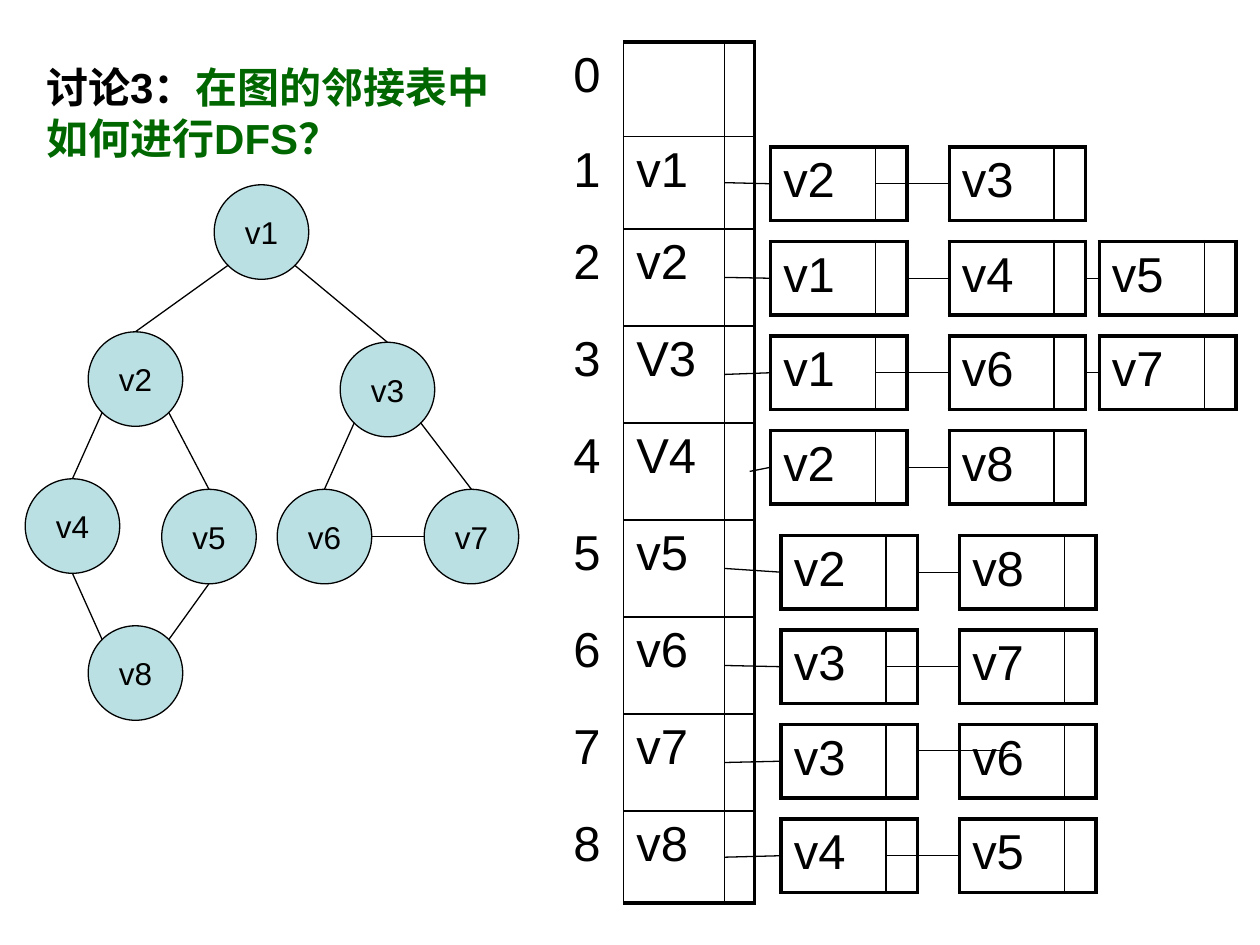
"""Build a slide that sets a graph beside its adjacency list for a DFS discussion."""
from itertools import accumulate

from lxml.etree import SubElement
from pptx import Presentation
from pptx.dml.color import RGBColor
from pptx.enum.shapes import MSO_CONNECTOR as CONN, MSO_SHAPE as SHAPE
from pptx.enum.text import MSO_ANCHOR as ANCHOR, MSO_AUTO_SIZE as FIT, PP_ALIGN as ALIGN
from pptx.oxml import parse_xml
from pptx.oxml.ns import nsdecls, qn
from pptx.util import Inches, Pt

COLORS = {"ink": "000000", "node": "BBE0E3", "question": "006600"}
FORMATS = {
    "title": {"name": "Arial", "size": Pt(24), "bold": True},
    "cell": {"name": "Arial", "size": Pt(28)},
    "node": {"name": "Arial", "size": Pt(18)},
}
COLS, ROWS = 120, 90
THICK, THIN, HAIR = 2.25, 1, 0.75
NODE = 9
DATA_W, LINK_W, CELL_H = 10, 3, 7
HEADS_X, HEADS_Y = 53.4, 4
HEADS_W = [6, 9.6, 2.8]
HEADS_H = [9, 8.8] + [9.24] * 6 + [8.8]
HEADS = ["", "v1", "v2", "V3", "V4", "v5", "v6", "v7", "v8"]

LISTS = [
    (73.4, 14, ["v2", "v3"], DATA_W),
    (73.4, 23, ["v1", "v4", "v5"], DATA_W + LINK_W),
    (73.4, 32, ["v1", "v6", "v7"], DATA_W),
    (73.4, 41, ["v2", "v8"], DATA_W + LINK_W),
    (74.4, 51, ["v2", "v8"], DATA_W + LINK_W),
    (74.4, 60, ["v3", "v7"], DATA_W),
    (74.4, 69, ["v3", "v6"], DATA_W + LINK_W),
    (74.4, 78, ["v4", "v5"], DATA_W),
]
STEPS = [0, 17, 31.3]
HEAD_LINK_X = {4: 71.4}
LINK_SHIFT = {7: (5, -1)}

NODES = {
    "v1": (20.4, 17.6), "v2": (8.4, 31.6), "v3": (32.4, 32.6), "v4": (2.4, 45.6),
    "v5": (15.4, 46.6), "v6": (26.4, 46.6), "v7": (40.4, 46.6), "v8": (8.4, 59.6),
}
SITES = {
    "top": (0.5, 0), "bottom": (0.5, 1), "left": (0, 0.5), "right": (1, 0.5),
    "upper left": (0.15, 0.15), "upper right": (0.85, 0.15),
    "lower left": (0.15, 0.85), "lower right": (0.85, 0.85),
}
EDGES = [
    ("v1", "lower left", "v2", "top"), ("v1", "lower right", "v3", "top"),
    ("v2", "lower right", "v5", "top"), ("v3", "lower left", "v6", "top"),
    ("v3", "lower right", "v7", "top"), ("v4", "bottom", "v8", "upper left"),
    ("v5", "bottom", "v8", "upper right"), ("v6", "right", "v7", "left"),
    ("v2", "lower left", "v4", "top"),
]


class Board:
    def __init__(self, prs):
        self.prs = prs
        self.s = prs.slides.add_slide(prs.slide_layouts[5])
        self.shapes = self.s.shapes

    def x(self, cols):
        return int(self.prs.slide_width * cols / COLS)

    def y(self, rows):
        return int(self.prs.slide_height * rows / ROWS)

    def box(self, x, y, w, h):
        return self.x(x), self.y(y), self.x(w), self.y(h)

    def run(self, p, text, style, color="ink"):
        r = p.add_run()
        r.text = text
        for key, value in FORMATS[style].items():
            setattr(r.font, key, value)
        r.font.color.rgb = RGBColor.from_string(COLORS[color])

    def space_before(self, p, percent):
        before = SubElement(p._p.get_or_add_pPr(), qn("a:spcBef"))
        SubElement(before, qn("a:spcPct"), val=str(percent * 1000))

    def title(self, x, y, w, h, parts):
        sp = self.s.shapes.title
        sp.left, sp.top, sp.width, sp.height = self.box(x, y, w, h)
        tf = sp.text_frame
        for key, value in {"word_wrap": True, "auto_size": FIT.SHAPE_TO_FIT_TEXT,
                           "vertical_anchor": ANCHOR.TOP}.items():
            setattr(tf, key, value)
        p = tf.paragraphs[0]
        p.alignment = ALIGN.LEFT
        self.space_before(p, 50)
        for text, color in parts:
            self.run(p, text, "title", color)

    def borders(self, cell, widths):
        tc_pr = cell._tc.get_or_add_tcPr()
        for i, (side, width) in enumerate(zip("LRTB", widths)):
            paint = (f'<a:solidFill><a:srgbClr val="{COLORS["ink"]}"/></a:solidFill>'
                     if width else "<a:noFill/>")
            tc_pr.insert(i, parse_xml(
                f'<a:ln{side} {nsdecls("a")} w="{int(Pt(width))}">{paint}</a:ln{side}>'))

    def table(self, x, y, widths, heights, rows, bare=0):
        frame = self.shapes.add_table(len(rows), len(widths),
                                      *self.box(x, y, sum(widths), sum(heights)))
        table = frame.table
        table.first_row = table.horz_banding = False
        for column, width in zip(table.columns, widths):
            column.width = self.x(width)
        for row, height in zip(table.rows, heights):
            row.height = self.y(height)
        for i, texts in enumerate(rows):
            for j, text in enumerate(texts):
                cell = table.cell(i, j)
                cell.fill.background()
                if j < bare:
                    self.borders(cell, (0, THIN, 0, 0))
                else:
                    outer = (j == 0, j == len(widths) - 1, i == 0, i == len(rows) - 1)
                    self.borders(cell, [THICK if edge else THIN for edge in outer])
                if text:
                    p = cell.text_frame.paragraphs[0]
                    self.space_before(p, 20)
                    self.run(p, text, "cell")

    def line(self, x1, y1, x2, y2):
        c = self.shapes.add_connector(CONN.STRAIGHT, self.x(x1), self.y(y1),
                                      self.x(x2), self.y(y2))
        c.line.width = Pt(HAIR)
        c.line.color.rgb = RGBColor.from_string(COLORS["ink"])
        SubElement(c._element.spPr, qn("a:effectLst"))

    def node(self, name, x, y):
        sp = self.shapes.add_shape(SHAPE.OVAL, *self.box(x, y, NODE, NODE))
        sp.shadow.inherit = False
        sp.fill.solid()
        sp.fill.fore_color.rgb = RGBColor.from_string(COLORS["node"])
        sp.line.width = Pt(HAIR)
        sp.line.color.rgb = RGBColor.from_string(COLORS["ink"])
        tf = sp.text_frame
        for key, value in {"margin_left": 0, "margin_right": 0, "margin_top": 0,
                           "margin_bottom": 0, "word_wrap": False,
                           "vertical_anchor": ANCHOR.MIDDLE}.items():
            setattr(tf, key, value)
        p = tf.paragraphs[0]
        p.alignment = ALIGN.CENTER
        self.run(p, name, "node")

    def graph(self):
        self.shapes = self.s.shapes.add_group_shape().shapes
        for name, (x, y) in NODES.items():
            self.node(name, x, y)
        for *start, end, end_site in EDGES:
            points = []
            for name, site in (start, (end, end_site)):
                points += [a + b * NODE for a, b in zip(NODES[name], SITES[site])]
            self.line(*points)
        self.shapes = self.s.shapes

    def adjacency(self):
        self.table(HEADS_X, HEADS_Y, HEADS_W, HEADS_H,
                   [(str(i), head, "") for i, head in enumerate(HEADS)], bare=1)
        for x, y, names, _ in LISTS:
            for step, name in zip(STEPS, names):
                self.table(x + step, y, [DATA_W, LINK_W], [CELL_H], [(name, "")])
        bottoms = [HEADS_Y + h for h in accumulate(HEADS_H)]
        for i, (x, y, names, offset) in enumerate(LISTS, 1):
            middle = y + CELL_H / 2
            self.line(HEAD_LINK_X.get(i, sum(HEADS_W[:2]) + HEADS_X),
                      bottoms[i] - HEADS_H[i] / 2, x, middle)
            dx, dy = LINK_SHIFT.get(i, (0, 0))
            self.line(x + offset, middle + dy, x + STEPS[1] + dx, middle + dy)
            if len(names) > 2:
                self.line(x + STEPS[1] + DATA_W + LINK_W, middle, x + STEPS[2], middle)


def main():
    prs = Presentation()
    prs.slide_width, prs.slide_height = Inches(10), Inches(7.5)
    board = Board(prs)
    board.title(3.2, 5.3, 47.3, 10.9,
                [("讨论3：", "ink"), ("在图的邻接表中如何进行DFS？", "question")])
    board.adjacency()
    board.graph()
    prs.save("out.pptx")


if __name__ == "__main__":
    main()
